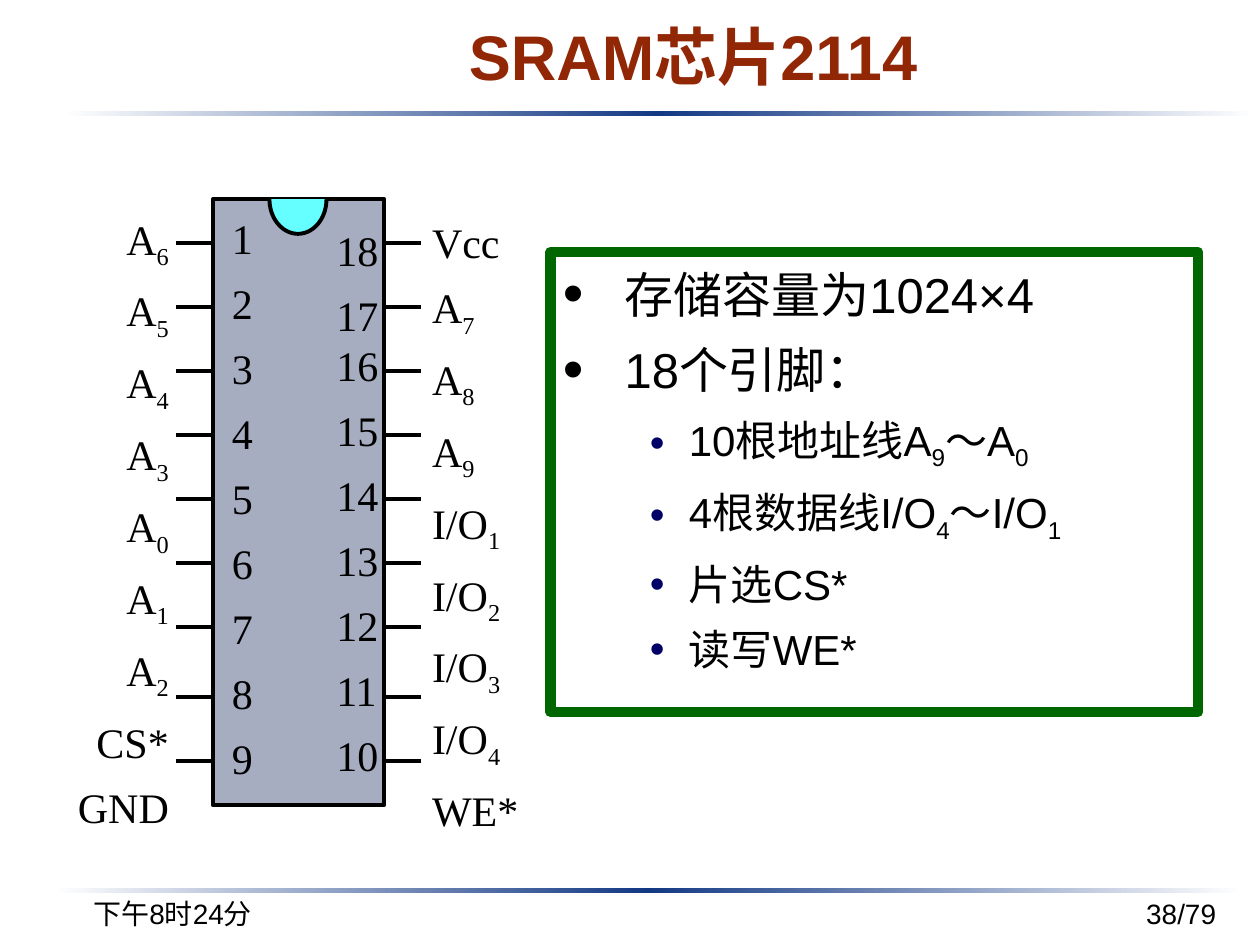
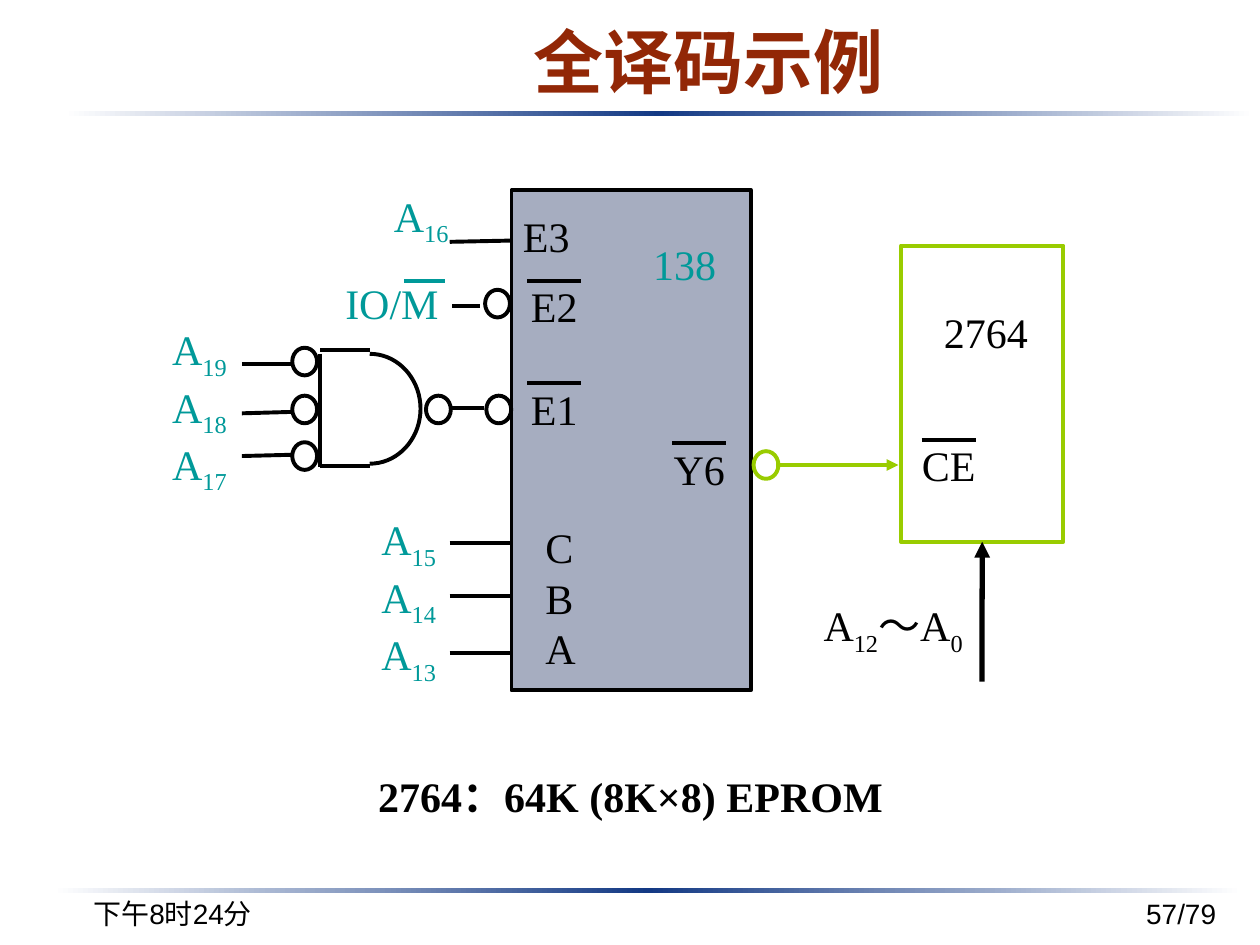
from math import cos, radians, sin
from lxml.etree import SubElement
from pptx import Presentation
from pptx.dml.color import RGBColor
from pptx.enum.shapes import MSO_CONNECTOR, MSO_SHAPE
from pptx.enum.text import MSO_ANCHOR, PP_ALIGN
from pptx.oxml.ns import qn
from pptx.util import Pt

color = RGBColor.from_string
BLACK, WHITE, NAVY, RUST = "000000", "FFFFFF", "133984", "922706"
GREY, TEAL, LIME, CYAN = "A6ADC0", "009999", "99CC00", "66FFFF"
GREEN, INK = "006600", "000066"
LEFT, MID, RIGHT = PP_ALIGN.LEFT, PP_ALIGN.CENTER, PP_ALIGN.RIGHT
SANS, SERIF = "Arial", "Times New Roman"


def write(slide, box, lines, hue=BLACK, align=LEFT, size=24, font=SERIF,
          bold=False, gap=0, pad=(0.7, 0.7)):
    shape = slide.shapes.add_textbox(*map(Pt, box))
    frame = shape.text_frame
    frame.word_wrap = True
    frame.margin_left = frame.margin_right = Pt(pad[0])
    frame.margin_top = frame.margin_bottom = Pt(pad[1])
    frame.text = "\n".join(line.replace("|", "") for line in lines)
    for row, (para, line) in enumerate(zip(frame.paragraphs, lines)):
        para.alignment = align
        para.space_before = Pt(gap if row else 0)
        if "|" in line:
            para.text = ""
            for part in line.split("|"):
                if part:
                    para.add_run().text = part
            for run in para.runs[1::2]:
                run.font._element.set("baseline", "-25000")
        for run in para.runs:
            run.font.name, run.font.size, run.font.bold = font, Pt(size), bold
            run.font.color.rgb = color(hue)
    return shape


def wire(slide, x1, y1, x2, y2, hue=BLACK, width=2.25, tip=False):
    line = slide.shapes.add_connector(MSO_CONNECTOR.STRAIGHT, *map(Pt, (x1, y1, x2, y2)))
    line.line.color.rgb = color(hue)
    line.line.width = Pt(width)
    if tip:
        SubElement(line.line._get_or_add_ln(), qn("a:tailEnd"), type="triangle")
    SubElement(line._element.spPr, qn("a:effectLst"))
    return line


deck = Presentation()
deck.slide_width, deck.slide_height = Pt(720), Pt(540)
pages = (
    ("SRAM芯片2114", 36, (204.5, 5.8, 383, 57.6), "38/79"),
    ("全译码示例", 40, (222.5, 6.5, 365, 59.8), "57/79"),
)
for title, size, box, page in pages:
    slide = deck.slides.add_slide(deck.slide_layouts[6])
    for left, top in ((36.7, 63.4), (30.2, 507.6)):
        for half, hues in enumerate(((WHITE, NAVY), (NAVY, WHITE))):
            band = slide.shapes.add_shape(
                MSO_SHAPE.RECTANGLE, Pt(left + 339.9 * half), Pt(top), Pt(339.9), Pt(2.9))
            band.shadow.inherit = False
            band.line.fill.background()
            band.fill.gradient()
            band.fill.gradient_angle = 0
            for stop, hue in zip(band.fill.gradient_stops, hues):
                stop.color.rgb = color(hue)
    write(slide, box, [title], RUST, MID, size, SANS, True, pad=(7.2, 4))
    for left, text, align in ((23.8, "下午8时24分", MID), (552.2, page, RIGHT)):
        foot = write(slide, (left, 504, 149.8, 36), [text], align=align,
                     size=16, font=SANS, pad=(7.2, 3.6))
        foot.text_frame.word_wrap = False
        foot.text_frame.vertical_anchor = MSO_ANCHOR.MIDDLE

sram, code = deck.slides
RECT, OVAL = MSO_SHAPE.RECTANGLE, MSO_SHAPE.OVAL
solids = [
    (sram, RECT, (121.7, 113.8, 97.9, 346.3), GREY, BLACK),
    (code, RECT, (292.3, 108.7, 136.8, 285.8), GREY, BLACK),
]
spots = [(167, 198.7), (167, 226.1), (167, 252.7), (243.4, 226.1),
         (277.9, 226.1), (277.2, 165.6)]
solids += [(code, OVAL, (*spot, 14.2, 15.8), None, BLACK) for spot in spots]
solids += [
    (code, OVAL, (430.6, 257.8, 14.2, 15.8), None, LIME),
    (code, RECT, (514.8, 140.4, 92.9, 169.2), None, LIME),
]
for slide, kind, box, fill, edge in solids:
    solid = slide.shapes.add_shape(kind, *map(Pt, box))
    solid.shadow.inherit = False
    solid.line.color.rgb = color(edge)
    solid.line.width = Pt(2.25)
    if fill:
        solid.fill.solid()
        solid.fill.fore_color.rgb = color(fill)
    else:
        solid.fill.background()
eprom = solid

arcs = (
    (sram, 170.3, 113.8, 16.3, 19.8, 0, CYAN),
    (code, 211.3, 233.6, 29, 31.4, -90, None),
)
for slide, mid, top, wide, high, start, fill in arcs:
    turns = [radians(start + step * 5) for step in range(37)]
    dots = [(Pt(mid + wide * cos(turn)), Pt(top + high * sin(turn))) for turn in turns]
    pen = slide.shapes.build_freeform(*dots[0])
    pen.add_line_segments(dots[1:], close=False)
    arc = pen.convert_to_shape()
    arc.shadow.inherit = False
    arc.line.color.rgb = color(BLACK)
    arc.line.width = Pt(2.25)
    if fill:
        arc.fill.solid()
        arc.fill.fore_color.rgb = color(fill)
    else:
        arc.fill.background()

for pin in range(9):
    high = 138.9 + 36.6 * pin + (3 if pin > 6 else 0)
    for left in (100.8, 220.3):
        wire(sram, left, high, left + 20.5, high)

pins = (
    ((131.8, 121, 28.8, 340.6), [str(pin) for pin in range(1, 10)], LEFT),
    ((191.5, 127.4, 26.6, 349.2),
     ["18", "17\v16", "15", "14", "13", "12", "11", "10"], LEFT),
    ((246.2, 123.1, 67.7, 362.9),
     ["Vcc", "A|7", "A|8", "A|9", "I/O|1", "I/O|2", "I/O|3", "I/O|4", "WE*"], LEFT),
    ((36.7, 121, 60.5, 349.2),
     ["A|6", "A|5", "A|4", "A|3", "A|0", "A|1", "A|2", "CS*", "GND"], RIGHT),
)
for box, lines, align in pins:
    write(sram, box, lines, align=align, gap=8.3)

facts = ["存储容量为1024×4", "18个引脚：", "10根地址线A|9|～A|0",
         "4根数据线I/O|4|～I/O|1", "片选CS*", "读写WE*"]
panel = write(sram, (314.6, 144, 370.1, 262.8), facts, font=SANS, pad=(7.2, 3.6))
panel.line.color.rgb = color(GREEN)
panel.line.width = Pt(6)
for row, para in enumerate(panel.text_frame.paragraphs):
    main = row < 2
    para.level = 0 if main else 1
    para.line_spacing = 1.1
    if row:
        para.space_before = Pt(6.4 if main else 5.5)
    for run in para.runs:
        run.font.size = Pt(28 if main else 24)
    props = para._p.get_or_add_pPr()
    props.set("marL", str(Pt(35.3 if main else 72)))
    props.set("indent", str(Pt(-35.3 if main else -22.3)))
    if main:
        SubElement(props, qn("a:buSzPct"), val="120000")
    else:
        SubElement(SubElement(props, qn("a:buClr")), qn("a:srgbClr"), val=INK)
    SubElement(props, qn("a:buFont"), typeface=SANS)
    SubElement(props, qn("a:buChar"), char="•")

wires = (
    (257, 138.2, 291.6, 137.5), (258.5, 175, 274.3, 175), (258.5, 233.3, 276.5, 233.3),
    (257, 310.3, 293, 310.3), (257, 340.6, 293, 340.6), (257, 373, 293, 373),
    (138.2, 208.1, 166.3, 208.1), (138.2, 236.2, 166.3, 235.4),
    (138.2, 260.6, 166.3, 259.9), (182.9, 200.2, 211.7, 200.2),
    (182.9, 266.4, 211.7, 266.4), (182.9, 202.3, 182.9, 267.1),
)
for ends in wires:
    wire(code, *ends)
wire(code, 443.5, 265.7, 513.4, 265.7, LIME, tip=True)
wire(code, 561.2, 389.5, 561.2, 309.6, width=3, tip=True).end_connect(eprom, 2)

bars = (("E2", 278.6, 159.8, 160.6), ("E1", 278.6, 218.2, 218.9),
        ("Y6", 361.4, 252.7, 253.4), ("CE", 504, 250.6, 251.3))
for name, left, top, bar in bars:
    write(code, (left, top, 76.3, 29.5), [name], align=MID)
    wire(code, left + 22.7, bar, left + 53.6, bar)
wire(code, 231.1, 160.6, 254.2, 160.6, TEAL)

labels = (
    ((153.4, 293, 96.5, 109.4), ["A|15", "A|14", "A|13"], TEAL, RIGHT),
    ((195.8, 108, 61.2, 44.6), ["A|16"], TEAL, RIGHT),
    ((48.2, 184.3, 82.1, 103), ["A|19", "A|18", "A|17"], TEAL, RIGHT),
    ((185.8, 157.7, 76.3, 29.5), ["IO/M"], TEAL, MID),
    ((356.4, 135.4, 69.8, 43.2), ["138"], TEAL, MID),
    ((528.5, 174.2, 69.8, 43.2), ["2764"], BLACK, MID),
    ((298.1, 119.5, 92.9, 40.3), ["E3"], BLACK, LEFT),
    ((311, 297.4, 54.7, 104.4), ["C", "B", "A"], BLACK, LEFT),
    ((434.2, 342, 116.6, 61.2), ["A|12|～A|0"], BLACK, RIGHT),
)
for box, lines, hue, align in labels:
    write(code, box, lines, hue, align)
write(code, (195.8, 437, 329, 36), ["2764：64K (8K×8) EPROM"],
      align=MID, bold=True, pad=(7.2, 3.6))

deck.save("out.pptx")
